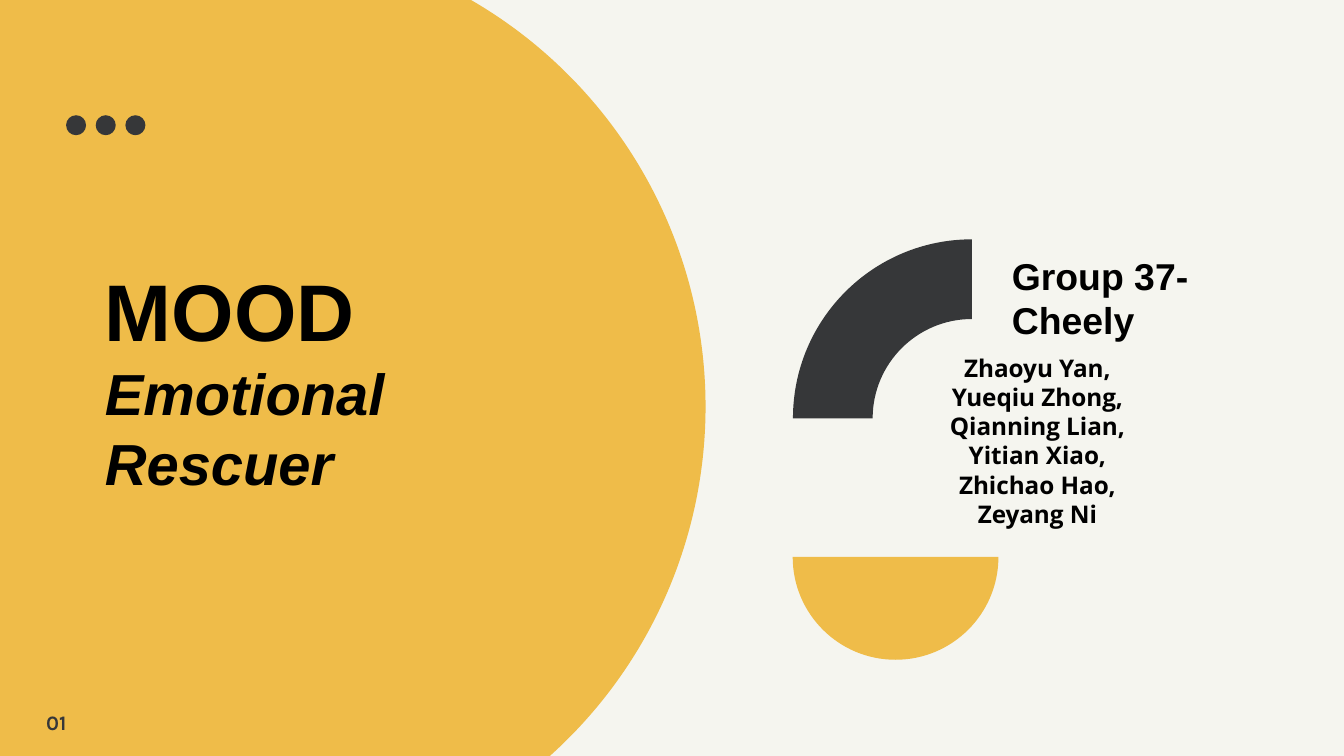
import math

import lxml.etree
import pptx
import pptx.dml.color
import pptx.enum.shapes
import pptx.enum.text
import pptx.oxml.ns
import pptx.util

Pt = pptx.util.Pt
qn = pptx.oxml.ns.qn
rgb = pptx.dml.color.RGBColor.from_string
ALIGN = pptx.enum.text.PP_ALIGN
ANCHOR = pptx.enum.text.MSO_ANCHOR
COLORS = {"paper": "F5F5EF", "yellow": "EFBC49", "dark": "363739", "black": "000000"}
KAPPA = 0.5523  # handle length of a Bezier quarter circle with radius 1


def add_arcs(contours):
    """Add a freeform; a contour is a list of arcs (cx, cy, radius, start angle, quarters)."""
    builder = None
    sizes = []  # points in each segment: 1 for a line, 3 for a curve
    for arcs in contours:
        points = []
        for cx, cy, radius, start, quarters in arcs:
            turn = 1 if quarters > 0 else -1
            if points:
                sizes.append(1)
            for i in range(abs(quarters)):
                a = math.radians(start + 90 * turn * i)
                b = a + turn * math.pi / 2
                h = KAPPA * turn
                unit = [(math.cos(a), math.sin(a)),
                        (math.cos(a) - h * math.sin(a), math.sin(a) + h * math.cos(a)),
                        (math.cos(b) + h * math.sin(b), math.sin(b) - h * math.cos(b)),
                        (math.cos(b), math.sin(b))]
                points += [(Pt(cx + radius * x), Pt(cy + radius * y))
                           for x, y in (unit if i == 0 else unit[1:])]
                sizes.append(3)
        if builder is None:
            builder = s.shapes.build_freeform(*points[0])
        else:
            builder.move_to(*points[0])
        builder.add_line_segments(points[1:], close=False)
        builder.add_line_segments([points[0]], close=True)
        sizes.append(1)
    sp = builder.convert_to_shape()
    lines = iter(list(sp._element.iter(qn("a:lnTo"))))
    for size in sizes:
        group = [next(lines) for _ in range(size)]
        if size == 3:
            curve = lxml.etree.Element(qn("a:cubicBezTo"))
            group[0].addprevious(curve)
            for line in group:
                curve.append(line[0])
                line.getparent().remove(line)
    return sp


def add_text(box, lines, font="Arial", color="black", inset=7.2,
             align=ALIGN.LEFT, anchor=ANCHOR.TOP, spacing=1.0):
    """Add a bold text box; lines holds (text, size, italic) tuples."""
    tf = s.shapes.add_textbox(*[Pt(v) for v in box]).text_frame
    tf.word_wrap = True
    tf.vertical_anchor = anchor
    tf.margin_left = tf.margin_right = tf.margin_top = tf.margin_bottom = Pt(inset)
    for i, (text, size, italic) in enumerate(lines):
        p = tf.paragraphs[0] if i == 0 else tf.add_paragraph()
        p.alignment = align
        p.line_spacing = spacing
        r = p.add_run()
        r.text = text
        r.font.name = font
        r.font.size = Pt(size)
        r.font.bold = True
        r.font.italic = italic
        r.font.color.rgb = rgb(COLORS[color])


prs = pptx.Presentation()
prs.slide_width, prs.slide_height = Pt(720), Pt(405)
s = prs.slides.add_slide(prs.slide_layouts[6])
s.background.fill.solid()
s.background.fill.fore_color.rgb = rgb(COLORS["paper"])

# The disc is cut along the left edge of the slide
disc = s.shapes.add_shape(pptx.enum.shapes.MSO_SHAPE.CHORD,
                          Pt(-125.3), Pt(-33.8), Pt(503.3), Pt(503.3))
disc.adjustments[0] = 143.852
disc.adjustments[1] = 72.083
dots = add_arcs([[(40.75 + 15.9 * i, 67.1, 5.35, 0, 4)] for i in range(3)])
quarter_ring = add_arcs([[(520.7, 224.1, 95.9, 180, 1), (520.7, 224.1, 53.2, 270, -1)]])
half_disc = add_arcs([[(479.8, 298.4, 55.1, 0, 2)]])

for sp, color in [(disc, "yellow"), (dots, "dark"),
                  (quarter_ring, "dark"), (half_disc, "yellow")]:
    sp.shadow.inherit = False
    sp.fill.solid()
    sp.fill.fore_color.rgb = rgb(COLORS[color])
    sp.line.fill.background()

add_text((56.2, 147, 258.5, 112.3),
         [("MOOD", 43, False), ("Emotional Rescuer", 31, True)],
         inset=0, anchor=ANCHOR.MIDDLE)
add_text((24.7, 377.3, 31.7, 13.7), [("01", 11, False)],
         font="Karla", color="dark", inset=0, spacing=1.25)
members = ["Zhaoyu Yan,", "Yueqiu Zhong,", "Qianning Lian,",
           "Yitian Xiao,", "Zhichao Hao,", "Zeyang Ni"]
add_text((437.6, 182, 236.2, 124.6), [(name, 13, False) for name in members],
         font="Open Sans", align=ALIGN.CENTER)
add_text((535, 128.2, 161.3, 38.9), [("Group 37-Cheely", 20, False)])

prs.save("out.pptx")
